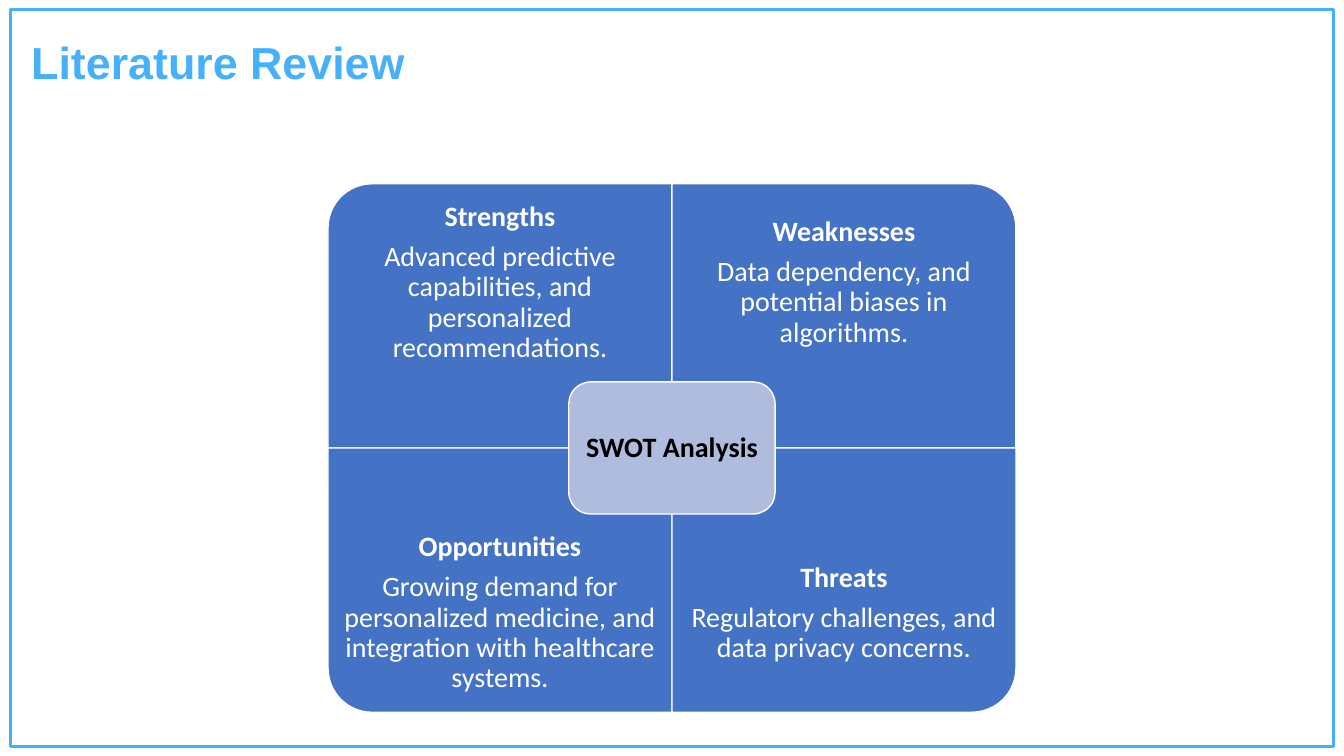
from dataclasses import dataclass

from pptx import Presentation
from pptx.dml.color import RGBColor
from pptx.enum import shapes, text
from pptx.util import Pt

CENTRE_X, CENTRE_Y = 480, 320
QUADRANT_WIDTH, QUADRANT_HEIGHT = 245.7, 188.8
TEXT_HEIGHT = 141.6
ACCENT, BLUE, PALE_BLUE = "46B0FA", "4472C4", "B0BCDE"
WHITE, BLACK = "FFFFFF", "000000"


@dataclass(frozen=True)
class Box:
    left: float
    top: float
    width: float
    height: float


@dataclass(frozen=True)
class Quadrant:
    heading: str
    body: str
    column: int
    row: int
    rotation: int


QUADRANTS = [
    Quadrant("Strengths", "Advanced predictive capabilities, and personalized recommendations.", 0, 0, 270),
    Quadrant("Weaknesses", "Data dependency, and potential biases in algorithms.", 1, 0, 0),
    Quadrant("Opportunities",
             "Growing demand for personalized medicine, and integration with healthcare systems.", 0, 1, 180),
    Quadrant("Threats", "Regulatory challenges, and data privacy concerns.", 1, 1, 90),
]


def colour(value: str) -> RGBColor:
    return RGBColor.from_string(value)


def points(box: Box) -> tuple:
    return Pt(box.left), Pt(box.top), Pt(box.width), Pt(box.height)


def add_panel(slide, kind, box: Box, fill: str | None, line: str, weight: float, rotation: int = 0):
    """Add a shape whose box is the area it covers after rotation."""
    if rotation % 180 == 90:
        shift = (box.width - box.height) / 2
        box = Box(box.left + shift, box.top - shift, box.height, box.width)
    shape = slide.shapes.add_shape(kind, *points(box))
    shape.rotation = rotation
    shape.shadow.inherit = False
    if fill is None:
        shape.fill.background()
    else:
        shape.fill.solid()
        shape.fill.fore_color.rgb = colour(fill)
    shape.line.color.rgb = colour(line)
    shape.line.width = Pt(weight)


def add_run(paragraph, content: str, font: str, size: float, ink: str, bold: bool) -> None:
    run = paragraph.add_run()
    run.text = content
    run.font.name = font
    run.font.size = Pt(size)
    run.font.color.rgb = colour(ink)
    run.font.bold = bold


def add_label(slide, box: Box, inset: float, ink: str, heading: str, body: str = "") -> None:
    frame = slide.shapes.add_textbox(*points(box)).text_frame
    frame.word_wrap = True
    frame.vertical_anchor = text.MSO_ANCHOR.MIDDLE
    frame.margin_left = frame.margin_right = Pt(inset)
    frame.margin_top = frame.margin_bottom = Pt(inset)
    for index, content in enumerate(filter(None, (heading, body))):
        paragraph = frame.add_paragraph() if index else frame.paragraphs[0]
        paragraph.alignment = text.PP_ALIGN.CENTER
        paragraph.line_spacing = 0.9
        paragraph.space_after = Pt(7)
        add_run(paragraph, content, "Calibri", 20, ink, index == 0)


def add_title(slide, content: str) -> None:
    title = slide.shapes.title
    title.left, title.top, title.width, title.height = points(Box(15.1, 20.9, 593.3, 46.1))
    frame = title.text_frame
    frame.word_wrap = True
    frame.auto_size = text.MSO_AUTO_SIZE.SHAPE_TO_FIT_TEXT
    frame.vertical_anchor = text.MSO_ANCHOR.TOP
    frame.paragraphs[0].alignment = text.PP_ALIGN.LEFT
    add_run(frame.paragraphs[0], content, "Arial", 32, ACCENT, True)


def add_quadrant(slide, quadrant: Quadrant) -> None:
    left = CENTRE_X + (quadrant.column - 1) * QUADRANT_WIDTH
    top = CENTRE_Y + (quadrant.row - 1) * QUADRANT_HEIGHT
    add_panel(slide, shapes.MSO_SHAPE.ROUND_1_RECTANGLE,
              Box(left, top, QUADRANT_WIDTH, QUADRANT_HEIGHT), BLUE, WHITE, 1, quadrant.rotation)
    text_top = top + quadrant.row * (QUADRANT_HEIGHT - TEXT_HEIGHT)
    add_label(slide, Box(left, text_top, QUADRANT_WIDTH, TEXT_HEIGHT), 11.2, WHITE,
              quadrant.heading, quadrant.body)


def centred_box(width: float, height: float) -> Box:
    return Box(CENTRE_X - width / 2, CENTRE_Y - height / 2, width, height)


def main() -> None:
    presentation = Presentation()
    presentation.slide_width, presentation.slide_height = Pt(960), Pt(540)
    slide = presentation.slides.add_slide(presentation.slide_layouts[5])
    add_panel(slide, shapes.MSO_SHAPE.RECTANGLE, Box(7.7, 6.7, 944.6, 526.3), None, "46B0F9", 2.25)
    add_title(slide, "Literature Review")
    for quadrant in QUADRANTS:
        add_quadrant(slide, quadrant)
    add_panel(slide, shapes.MSO_SHAPE.ROUNDED_RECTANGLE, centred_box(147.4, 94.4), PALE_BLUE, WHITE, 1)
    add_label(slide, centred_box(138.2, 85.2), 6, BLACK, "SWOT Analysis")
    presentation.save("out.pptx")


if __name__ == "__main__":
    main()
